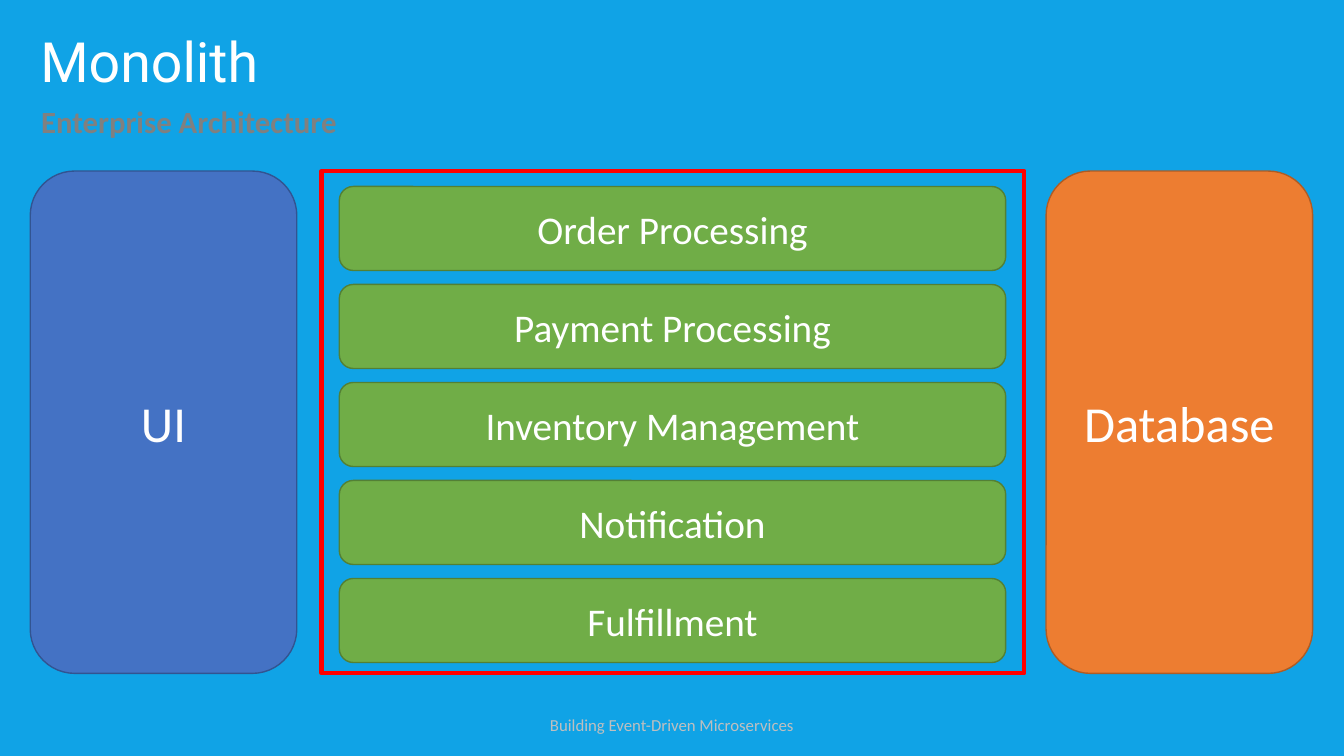
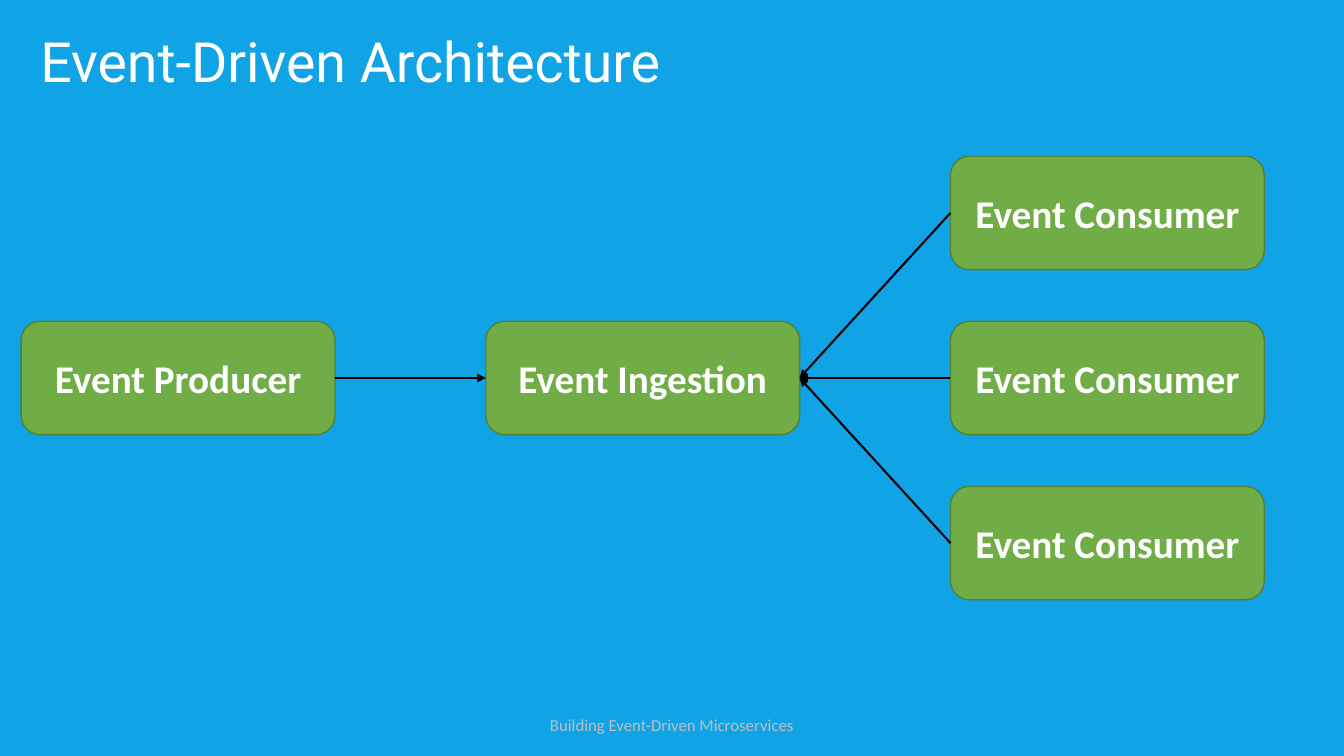
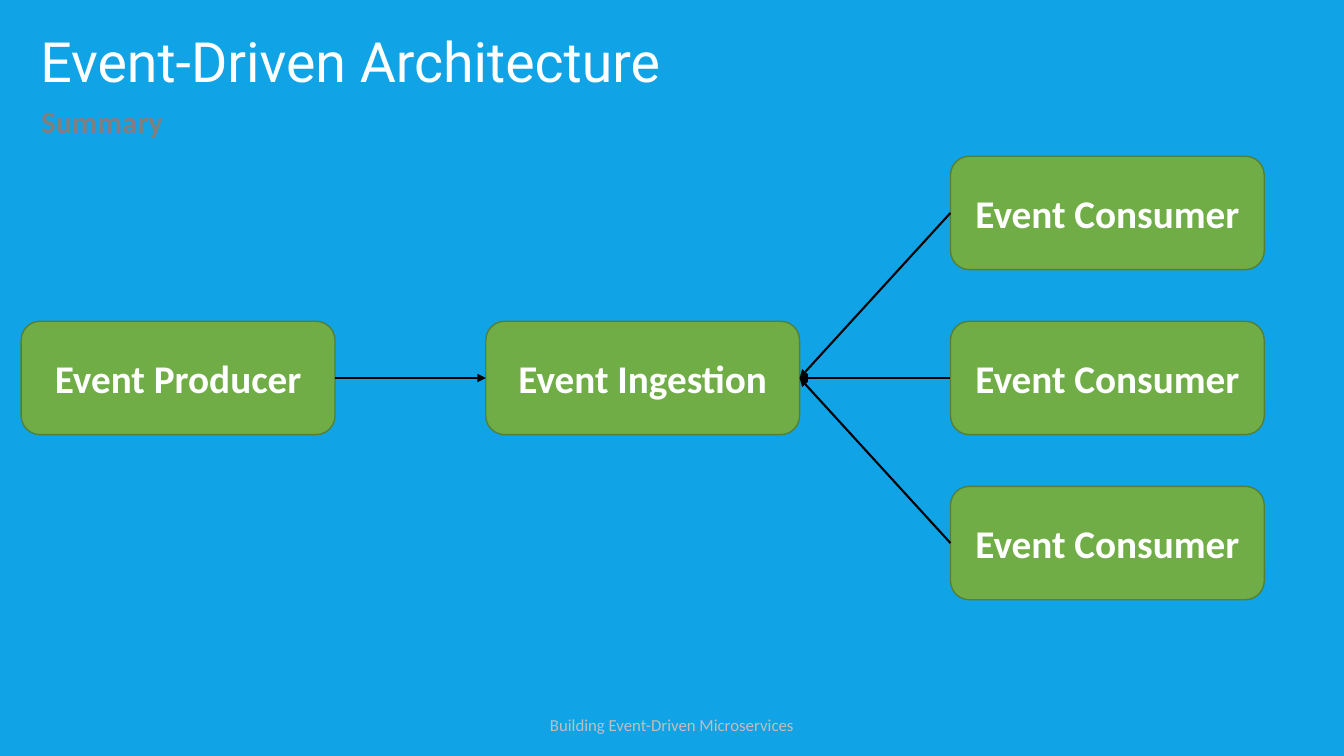
from lxml import etree
from pptx import Presentation
from pptx.dml.color import RGBColor
from pptx.enum.shapes import MSO_CONNECTOR, MSO_SHAPE
from pptx.enum.text import MSO_ANCHOR, MSO_AUTO_SIZE, PP_ALIGN
from pptx.oxml.ns import qn
from pptx.util import Pt

ROUNDED = MSO_SHAPE.ROUNDED_RECTANGLE
RECTANGLE = MSO_SHAPE.RECTANGLE
STRAIGHT = MSO_CONNECTOR.STRAIGHT
MIDDLE = MSO_ANCHOR.MIDDLE
TOP = MSO_ANCHOR.TOP
LEFT, CENTER = PP_ALIGN.LEFT, PP_ALIGN.CENTER
NO_AUTOFIT = MSO_AUTO_SIZE.NONE
LEFT_SITE, RIGHT_SITE = 1, 3

color = RGBColor.from_string
SKY, WHITE, BLACK = "10A3E6", "FFFFFF", "000000"
GRAY, LIGHT_GRAY, RED = "808080", "BFBFBF", "FF0000"
BLUE, DARK_BLUE = "4472C4", "325491"
GREEN, DARK_GREEN = "70AD47", "538035"
ORANGE, DARK_ORANGE = "ED7D31", "AF5C24"
HEADING_FONT, BODY_FONT = "Roboto", "Calibri"


def write_text(shape, text, size, text_color, font=BODY_FONT, bold=False,
               align=CENTER, spacing=1.0, anchor=MIDDLE, wrap=True):
    frame = shape.text_frame
    frame.auto_size = NO_AUTOFIT
    frame.word_wrap = wrap
    frame.vertical_anchor = anchor
    paragraph = frame.paragraphs[0]
    paragraph.alignment = align
    paragraph.line_spacing = spacing
    run = paragraph.add_run()
    run.text = text
    run.font.name = font
    run.font.size = Pt(size)
    run.font.bold = bold
    run.font.color.rgb = color(text_color)


def add_box(slide, kind, left, top, width, height, fill, line, line_width=1):
    shape = slide.shapes.add_shape(kind, Pt(left), Pt(top), Pt(width), Pt(height))
    shape.shadow.inherit = False
    if fill:
        shape.fill.solid()
        shape.fill.fore_color.rgb = color(fill)
    else:
        shape.fill.background()
    shape.line.color.rgb = color(line)
    shape.line.width = Pt(line_width)
    return shape


# Slide size and shared background
presentation = Presentation()
presentation.slide_width, presentation.slide_height = Pt(960), Pt(540)
background = presentation.slide_master.background.fill
background.solid()
background.fore_color.rgb = color(SKY)
title_only = presentation.slide_layouts[5]

# Footer, title and optional subtitle of every slide
headings = [
    ("Monolith", "Enterprise Architecture"),
    ("Event-Driven Architecture", None),
    ("Event-Driven Architecture", "Summary"),
]
slides = []
for heading, subheading in headings:
    slide = presentation.slides.add_slide(title_only)
    slides.append(slide)

    title = slide.shapes.title
    title.left, title.top = Pt(21.6), Pt(19.4)
    title.width, title.height = Pt(915), Pt(53.3)
    write_text(title, heading, 39.6, WHITE, HEADING_FONT, align=LEFT, spacing=0.9)

    footer = slide.shapes.add_textbox(Pt(384.5), Pt(506.9), Pt(191), Pt(21.6))
    write_text(footer, "Building Event-Driven Microservices", 12, LIGHT_GRAY,
               anchor=TOP, wrap=False)

    if subheading:
        subtitle = slide.shapes.add_textbox(Pt(22.3), Pt(74.9), Pt(915), Pt(28.8))
        write_text(subtitle, subheading, 22, GRAY, bold=True, align=LEFT, spacing=0.8)

# Monolith: tiers on both sides, services in the red frame
monolith = slides[0]
TIER_TOP, TIER_HEIGHT = 122.2, 358.8
tiers = [("UI", 21.6, BLUE, DARK_BLUE), ("Database", 747.2, ORANGE, DARK_ORANGE)]
for name, left, fill, line in tiers:
    tier = add_box(monolith, ROUNDED, left, TIER_TOP, 190.4, TIER_HEIGHT, fill, line)
    write_text(tier, name, 36, WHITE)

services = ["Order Processing", "Payment Processing", "Inventory Management",
            "Notification", "Fulfillment"]
for index, name in enumerate(services):
    service = add_box(monolith, ROUNDED, 242.4, 133.2 + 70 * index, 476, 60,
                      GREEN, DARK_GREEN)
    write_text(service, name, 28, WHITE)

add_box(monolith, RECTANGLE, 229.7, TIER_TOP, 502, TIER_HEIGHT, None, RED, 3)

# Event flow: column and row of each node on a grid
FLOW_LEFT, FLOW_TOP = 15.1, 111.6
COLUMN_STEP, ROW_STEP = 331.9, 117.9
nodes = [("Event Producer", 0, 1), ("Event Ingestion", 1, 1),
         ("Event Consumer", 2, 0), ("Event Consumer", 2, 1),
         ("Event Consumer", 2, 2)]
for slide in slides[1:]:
    boxes = []
    for name, column, row in nodes:
        box = add_box(slide, ROUNDED, FLOW_LEFT + COLUMN_STEP * column,
                      FLOW_TOP + ROW_STEP * row, 224.2, 81, GREEN, DARK_GREEN)
        write_text(box, name, 28, WHITE, bold=True)
        boxes.append(box)

    # Arrows all point at the ingestion node
    producer, ingestion, *consumers = boxes
    links = [(producer, RIGHT_SITE, LEFT_SITE)]
    links += [(consumer, LEFT_SITE, RIGHT_SITE) for consumer in consumers]
    for source, source_site, target_site in links:
        arrow = slide.shapes.add_connector(STRAIGHT, 0, 0, 0, 0)
        arrow.begin_connect(source, source_site)
        arrow.end_connect(ingestion, target_site)
        arrow.line.color.rgb = color(BLACK)
        arrow.line.width = Pt(1.5)
        line_xml = arrow.line._get_or_add_ln()
        etree.SubElement(line_xml, qn("a:tailEnd"), type="triangle")
        etree.SubElement(arrow._element.spPr, qn("a:effectLst"))

presentation.save("out.pptx")
